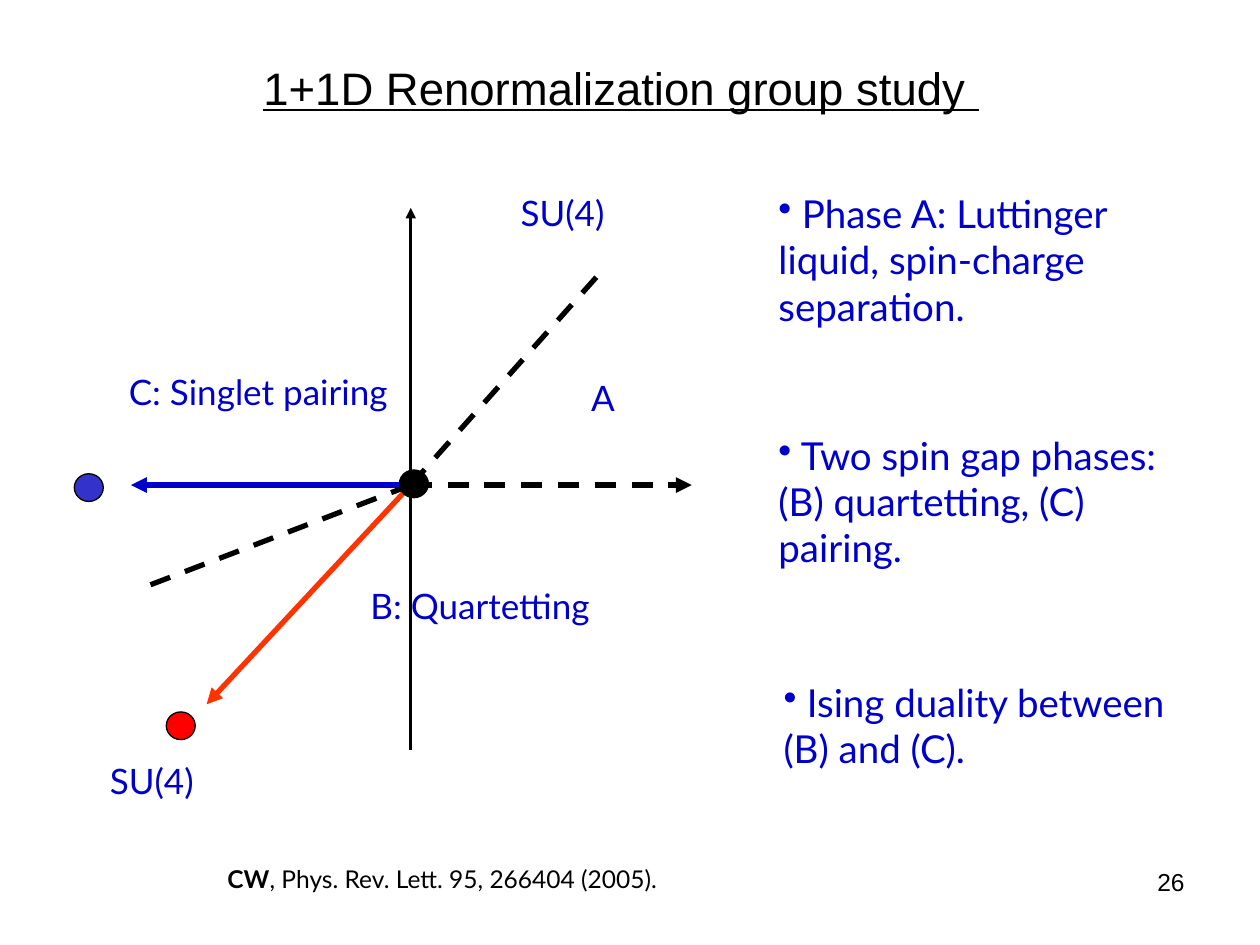
from pptx import Presentation
from pptx.dml.color import RGBColor
from pptx.enum.dml import MSO_LINE
from pptx.enum.shapes import MSO_CONNECTOR, MSO_SHAPE
from pptx.enum.text import MSO_ANCHOR, PP_ALIGN
from pptx.oxml.ns import qn
from pptx.util import Inches, Pt
from lxml import etree

STRAIGHT = MSO_CONNECTOR.STRAIGHT
OVAL = MSO_SHAPE.OVAL
DASH = MSO_LINE.DASH
TOP, MIDDLE = MSO_ANCHOR.TOP, MSO_ANCHOR.MIDDLE
LEFT, CENTER, RIGHT, JUSTIFY = PP_ALIGN.LEFT, PP_ALIGN.CENTER, PP_ALIGN.RIGHT, PP_ALIGN.JUSTIFY
BLACK, BLUE = "000000", "0000CC"


def rgb(value):
    return RGBColor.from_string(value)


def add_run(p, text, font="Lato", size=20, color=BLUE, bold=False, underline=False):
    r = p.add_run()
    r.text = text
    r.font.name = font
    r.font.size = Pt(size)
    r.font.color.rgb = rgb(color)
    r.font.bold = bold
    r.font.underline = underline


class PhaseSlide:
    """Draws the elements of a phase diagram slide in one style."""

    def __init__(self, prs):
        self.s = prs.slides.add_slide(prs.slide_layouts[6])

    def text(self, x, y, w, h, *parts, align=LEFT, anchor=TOP, wrap=True, bullet=False, **fmt):
        sp = self.s.shapes.add_textbox(Inches(x), Inches(y), Inches(w), Inches(h))
        tf = sp.text_frame
        tf.word_wrap = wrap
        tf.vertical_anchor = anchor
        p = tf.paragraphs[0]
        p.alignment = align
        if bullet:
            etree.SubElement(p._p.get_or_add_pPr(), qn("a:buChar"), char="•")
        for text, extra in parts:
            add_run(p, text, **{**fmt, **extra})

    def label(self, x, y, w, h, text):
        self.text(x, y, w, h, (text, {}), align=CENTER, wrap=False)

    def bullet(self, x, y, w, h, text):
        self.text(x, y, w, h, (text, {}), bullet=True, size=22)

    def line(self, start, end, color=BLACK, width=3, dashed=False, arrow=False):
        sp = self.s.shapes.add_connector(STRAIGHT, *map(Inches, start + end))
        sp.line.color.rgb = rgb(color)
        sp.line.width = Pt(width)
        if dashed:
            sp.line.dash_style = DASH
        if arrow:
            etree.SubElement(sp.line._get_or_add_ln(), qn("a:tailEnd"), type="triangle")
        etree.SubElement(sp._element.spPr, qn("a:effectLst"))

    def dot(self, x, y, fill):
        sp = self.s.shapes.add_shape(OVAL, Inches(x), Inches(y), Inches(0.23), Inches(0.22))
        sp.shadow.inherit = False
        sp.fill.solid()
        sp.fill.fore_color.rgb = rgb(fill)
        sp.line.color.rgb = rgb(BLACK)
        sp.line.width = Pt(0.75)


def main():
    prs = Presentation()
    prs.slide_width, prs.slide_height = Inches(10), Inches(7.5)
    slide = PhaseSlide(prs)

    slide.text(0.8, 0.4, 8.26, 0.58, ("1+1D Renormalization group study ", {}), align=CENTER,
               anchor=MIDDLE, font="Arial", size=26, color=BLACK, underline=True)

    origin = (3.26, 3.85)
    slide.line(origin, (4.76, 2.17), dashed=True)
    slide.line(origin, (1.04, 3.85), color=BLUE, arrow=True)
    slide.line(origin, (5.49, 3.85), dashed=True, arrow=True)
    slide.line((3.26, 5.95), (3.26, 1.65), width=1.5, arrow=True)
    slide.line(origin, (1.64, 5.59), color="FF3300", arrow=True)
    slide.line(origin, (1.12, 4.67), dashed=True)

    for box in [
        (4.01, 2.94, 1.55, 0.44, "A"),
        (0.72, 5.98, 0.97, 0.39, "SU(4)"),
        (2.75, 4.59, 2.12, 0.39, "B: Quartetting"),
        (0.91, 2.89, 2.28, 0.77, "C: Singlet pairing"),
        (3.98, 1.47, 0.97, 0.39, "SU(4)"),
    ]:
        slide.label(*box)

    for dot in [(1.32, 5.65, "FF0000"), (0.59, 3.76, "3333CC"), (3.17, 3.73, BLACK)]:
        slide.dot(*dot)

    for box in [
        (6.08, 1.46, 3.59, 1.21, " Phase A: Luttinger liquid, spin-charge separation."),
        (6.08, 3.38, 3.42, 1.21, " Two spin gap phases: (B) quartetting, (C) pairing."),
        (6.12, 5.34, 3.25, 0.84, " Ising duality between (B) and (C)."),
    ]:
        slide.bullet(*box)

    slide.text(1.66, 6.81, 4.39, 0.34, (" CW", {"bold": True}),
               (", Phys. Rev. Lett. 95, 266404 (2005).", {}),
               align=JUSTIFY, size=14, color=BLACK)
    slide.text(7.17, 6.83, 2.33, 0.52, ("26", {}), align=RIGHT,
               font="Arial", size=14, color=BLACK)

    prs.save("out.pptx")


if __name__ == "__main__":
    main()
